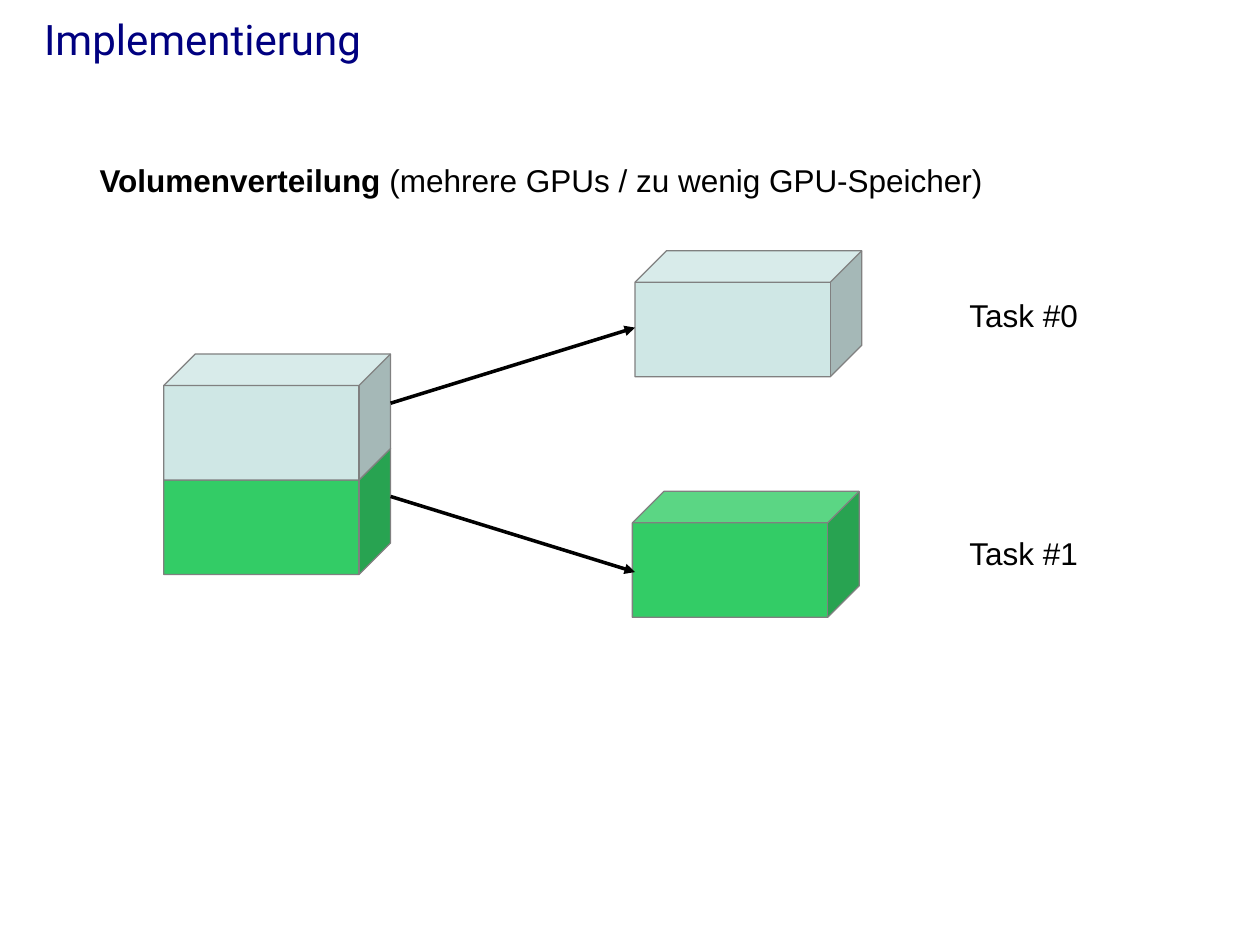
from lxml import etree
from pptx import Presentation
from pptx import util as u
from pptx.dml.color import RGBColor
from pptx.enum import shapes, text
from pptx.oxml.ns import qn

NAVY = RGBColor(0x00, 0x00, 0x80)
BLACK = RGBColor(0x00, 0x00, 0x00)
GRAY = RGBColor(0x80, 0x80, 0x80)
PALE = RGBColor(0xCF, 0xE7, 0xE5)
GREEN = RGBColor(0x33, 0xCC, 0x66)

WIDE, HIGH = 129.6, 72


class Page:
    """Style and current slide; all lengths are in points."""

    body = dict(name="Arial", size=u.Pt(18), bold=False)
    head = dict(name="Roboto", size=u.Pt(24), bold=False)

    def __init__(self, deck):
        self.slide = deck.slides.add_slide(deck.slide_layouts[5])
        self.items = self.slide.shapes

    def letter(self, frame, runs, style, color, inset=(0, 0), wrap=True):
        """Fill a frame with one left-aligned line of (words, changes) runs."""
        across, down = (u.Pt(n) for n in inset)
        form = dict(margin_left=across, margin_right=across, margin_top=down,
                    margin_bottom=down, word_wrap=wrap)
        for key, value in form.items():
            setattr(frame, key, value)
        para = frame.paragraphs[0]
        para.alignment = text.PP_ALIGN.LEFT
        for words, extra in runs:
            run = para.add_run()
            run.text = words
            for key, value in {**style, **extra}.items():
                setattr(run.font, key, value)
            run.font.color.rgb = color

    def title(self, words, left, top, width, height):
        item = self.items.title
        place = dict(left=left, top=top, width=width, height=height)
        for key, value in place.items():
            setattr(item, key, u.Pt(value))
        item.text_frame.vertical_anchor = text.MSO_ANCHOR.MIDDLE
        self.letter(item.text_frame, [(words, {})], self.head, NAVY)

    def label(self, runs, left, top, width, height, **form):
        box = self.items.add_textbox(*map(u.Pt, (left, top, width, height)))
        self.letter(box.text_frame, runs, self.body, BLACK, **form)

    def cube(self, left, top, color):
        item = self.items.add_shape(shapes.MSO_SHAPE.CUBE,
                                    *map(u.Pt, (left, top, WIDE, HIGH)))
        item.adjustments[0] = 0.25
        item.shadow.inherit = False
        item.fill.solid()
        item.fill.fore_color.rgb = color
        item.line.color.rgb = GRAY
        item.line.width = u.Pt(0)

    def arrow(self, *ends):
        item = self.items.add_connector(shapes.MSO_CONNECTOR.STRAIGHT,
                                        *map(u.Pt, ends))
        item.line.color.rgb = BLACK
        item.line.width = u.Pt(0)
        props = item._element.spPr
        tip = etree.SubElement(props.find(qn("a:ln")), qn("a:tailEnd"))
        tip.set("type", "triangle")
        etree.SubElement(props, qn("a:effectLst"))


def main():
    deck = Presentation()
    deck.slide_width, deck.slide_height = u.Pt(720), u.Pt(540)
    page = Page(deck)
    page.title("Implementierung", 25.2, 5.8, 671.8, 33)
    page.label([("Volumenverteilung ", dict(bold=True)),
                ("(mehrere GPUs / zu wenig GPU-Speicher)", {})],
               56.9, 92, 623, 21)

    # The whole volume, lower half first so that the upper half covers its lid
    left, top = 93.6, 202.3
    page.cube(left, top + 54, GREEN)
    page.cube(left, top, PALE)

    # One part for each task: cube corner, arrow start and end, label top
    tasks = [(PALE, 362.9, 143.3, 230.4, 187.2, 165.6),
             (GREEN, 361.4, 280.8, 283.7, 326.9, 301.7)]
    for index, (color, x, y, start, end, line) in enumerate(tasks):
        page.cube(x, y, color)
        page.arrow(left + WIDE, start, 362.9, end)
        page.label([(f"Task #{index}", {})], 546.8, line, 77.8, 31.7,
                   inset=(7.2, 3.6), wrap=False)
    deck.save("out.pptx")


if __name__ == "__main__":
    main()
